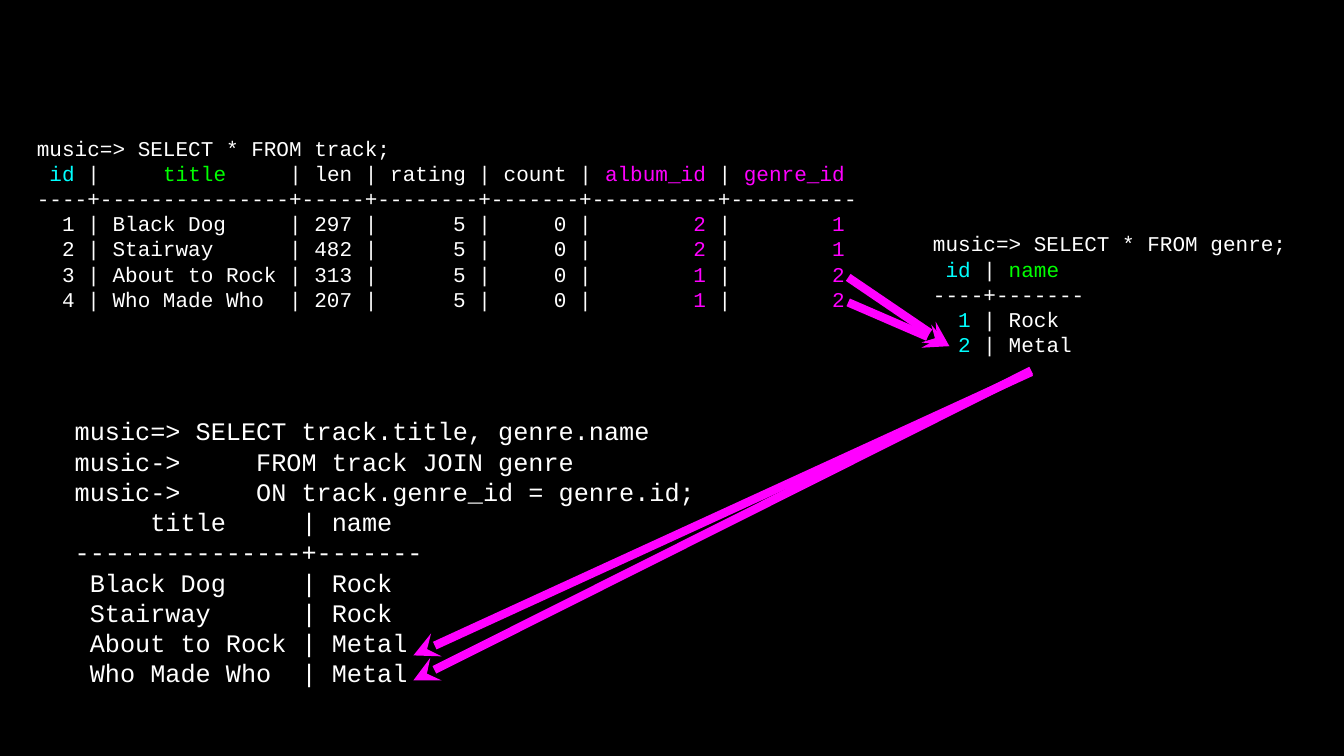
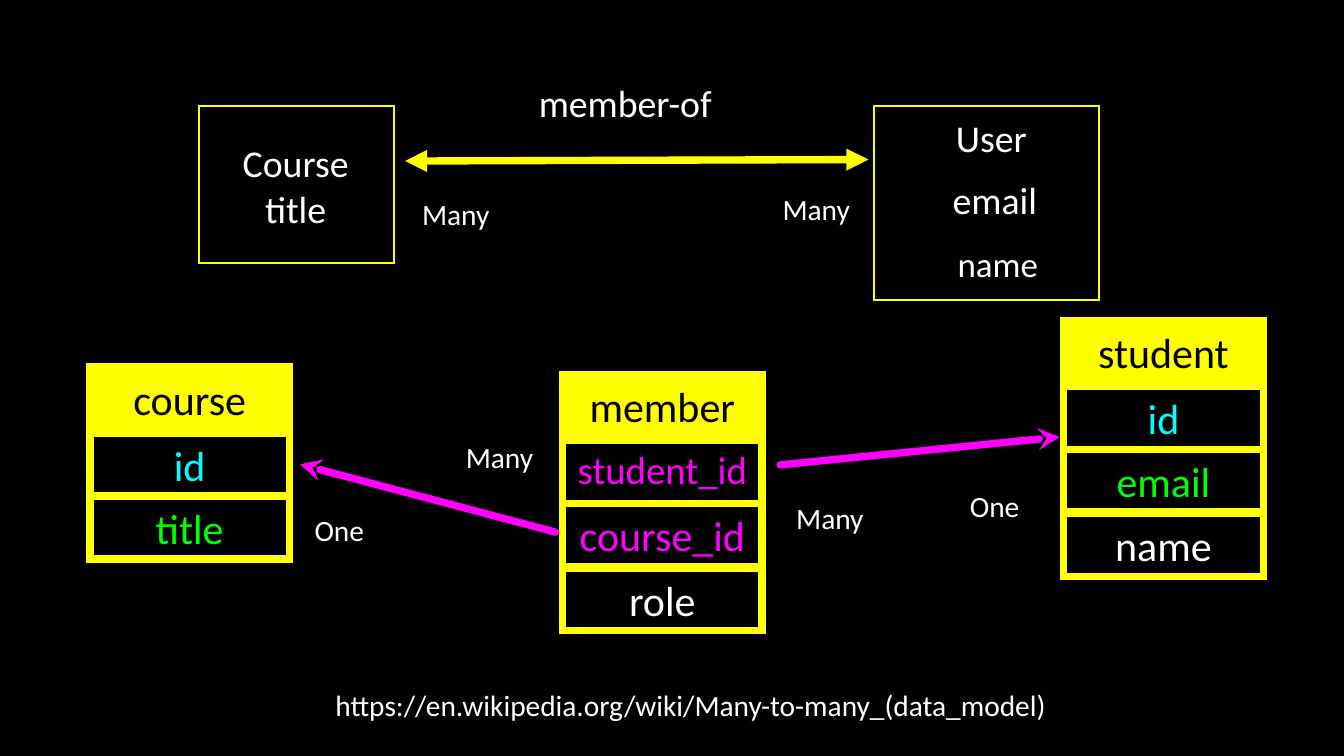
import pptx
import pptx.dml.color
import pptx.enum.shapes
import pptx.enum.text
import pptx.oxml.ns
import pptx.util
from lxml import etree

Cm = pptx.util.Cm
COLORS = {
    "back": "000000", "text": "FFFFFF", "frame": "FFFF00",
    "primary": "00FFFF", "logical": "00FF00", "foreign": "FF00FF",
}
CODE_FONT, LABEL_FONT = "Courier New", "Calibri"
WIDE_MARGINS = (0.46, 0.23)
NO_MARGINS = (0, 0)
CENTER = pptx.enum.text.PP_ALIGN.CENTER


def color(name):
    return pptx.dml.color.RGBColor.from_string(COLORS[name])


def add_page(deck):
    page = deck.slides.add_slide(deck.slide_layouts[6])
    page.background.fill.solid()
    page.background.fill.fore_color.rgb = color("back")
    return page


def fill_text(frame, lines, font, size, align=None, margins=NO_MARGINS, spacing=None):
    """Each line is a list of (text, color name) spans."""
    frame.margin_left = frame.margin_right = Cm(margins[0])
    frame.margin_top = frame.margin_bottom = Cm(margins[1])
    for number, line in enumerate(lines):
        para = frame.paragraphs[0] if number == 0 else frame.add_paragraph()
        para.alignment = align
        if spacing:
            para.line_spacing = spacing
        for text, tint in line:
            span = para.add_run()
            span.text = text
            span.font.name = font
            span.font.size = pptx.util.Pt(size)
            span.font.color.rgb = color(tint)


def add_text(page, place, lines, font, size, middle=False, wrap=True, **style):
    box = page.shapes.add_textbox(*map(Cm, place))
    frame = box.text_frame
    frame.word_wrap = wrap
    if middle:
        frame.vertical_anchor = pptx.enum.text.MSO_ANCHOR.MIDDLE
    else:
        frame.auto_size = pptx.enum.text.MSO_AUTO_SIZE.SHAPE_TO_FIT_TEXT
    fill_text(frame, lines, font, size, **style)


def add_code(page, place, lines, size, margins=WIDE_MARGINS):
    add_text(page, place, lines, CODE_FONT, size, margins=margins)


def add_label(page, place, words, size=36, spacing=None):
    add_text(page, place, [[(word, "text")] for word in words], LABEL_FONT, size,
             middle=True, align=CENTER, spacing=spacing)


def add_note(page, place, words, wrap=False):
    add_text(page, place, [[(words, "text")]], LABEL_FONT, 28,
             wrap=wrap, align=CENTER, margins=WIDE_MARGINS)


def add_line_part(line, tag, **values):
    etree.SubElement(line, pptx.oxml.ns.qn("a:" + tag), **values)


def add_arrow(page, tip, end, tint, width, head="stealth", tail=None, round_cap=False):
    arrow = page.shapes.add_connector(
        pptx.enum.shapes.MSO_CONNECTOR.STRAIGHT, *map(Cm, tip + end))
    arrow.line.color.rgb = color(tint)
    arrow.line.width = pptx.util.Pt(width)
    properties = arrow._element.spPr
    line = properties.find(pptx.oxml.ns.qn("a:ln"))
    if round_cap:
        line.set("cap", "rnd")
    add_line_part(line, "headEnd", type=head)
    if tail:
        add_line_part(line, "tailEnd", type=tail)
    add_line_part(properties, "effectLst")


def add_frame(page, place, width, filled=False):
    box = page.shapes.add_shape(
        pptx.enum.shapes.MSO_SHAPE.RECTANGLE, *map(Cm, place))
    box.shadow.inherit = False
    if filled:
        box.fill.solid()
        box.fill.fore_color.rgb = color("frame")
    else:
        box.fill.background()
    box.line.color.rgb = color("frame")
    box.line.width = pptx.util.Pt(width)
    line = box._element.spPr.find(pptx.oxml.ns.qn("a:ln"))
    add_line_part(line, "miter", lim="800000")
    return box


# Query results
TRACKS = [(1, "Black Dog", 297, 2, 1), (2, "Stairway", 482, 2, 1),
          (3, "About to Rock", 313, 1, 2), (4, "Who Made Who", 207, 1, 2)]
GENRES = {1: "Rock", 2: "Metal"}


def add_track_query(page, place):
    lines = [
        [("music=> SELECT * FROM track;", "text")],
        [(" ", "text"), ("id", "primary"), (" |     ", "text"), ("title", "logical"),
         ("     | len | rating | count | ", "text"), ("album_id ", "foreign"),
         ("| ", "text"), ("genre_id", "foreign")],
        [("----+---------------+-----+--------+-------+----------+----------", "text")],
    ]
    for number, title, length, album, genre in TRACKS:
        lines.append([
            (f"{number:>3} | {title:<13} | {length} | {5:>6} | {0:>5} | ", "text"),
            (f"{album:>8} ", "foreign"), ("|", "text"), (f"{genre:>9}", "foreign")])
    add_code(page, place, lines, 20, margins=(0.25, 0.13))


def add_genre_query(page, place):
    lines = [
        [("music=> SELECT * FROM genre;", "text")],
        [(" ", "text"), ("id ", "primary"), ("| ", "text"), ("name", "logical")],
        [("----+-------", "text")],
    ]
    for number, name in GENRES.items():
        lines.append([(f"{number:>3}", "primary"), (f" | {name}", "text")])
    add_code(page, place, lines, 20)


def add_join_query(page, place):
    rows = [
        "music=> SELECT track.title, genre.name",
        "music->     FROM track JOIN genre",
        "music->     ON track.genre_id = genre.id;",
        "     title     | name",
        "---------------+-------",
    ]
    rows += [f" {title:<13} | {GENRES[genre]}" for _, title, _, _, genre in TRACKS]
    add_code(page, place, [[(row, "text")] for row in rows], 24)


def build_join_page(deck):
    page = add_page(deck)
    add_track_query(page, (0.99, 4.41, 31.8, 6.2))
    add_genre_query(page, (30.89, 7.53, 13.2, 4.7))
    # Foreign keys to the genre row, then on to the joined rows
    for tip, end in [((31.9, 11.63), (28.5, 9.32)), ((31.9, 11.63), (28.5, 10.16)),
                     ((13.89, 22.02), (34.65, 12.5)), ((13.89, 22.86), (34.65, 12.45))]:
        add_arrow(page, tip, end, "foreign", 8)
    add_join_query(page, (2.05, 13.74, 42.47, 9.6))


# Many-to-many model
ROW_WIDTH, ROW_HEIGHT = 6.71, 2.11
ROW_OFFSETS = (0, 2.23, 4.34, 6.5)


def add_entity_table(page, left, top, name, columns):
    rows = [(name, "back", 40)] + columns
    for offset, (word, tint, size) in zip(ROW_OFFSETS, rows):
        box = add_frame(page, (left, top + offset, ROW_WIDTH, ROW_HEIGHT), 7,
                        filled=offset == 0)
        box.text_frame.vertical_anchor = pptx.enum.text.MSO_ANCHOR.MIDDLE
        fill_text(box.text_frame, [[(word, tint)]], LABEL_FONT, size, align=CENTER,
                  spacing=0.9 if size < 40 else None)


def add_course_entity(page, left, top):
    add_frame(page, (left, top, 6.53, 5.28), 2)
    add_label(page, (left + 1.04, top + 1.09, 4.39, 3.15), ["Course", "title"])


def add_user_entity(page, left, top):
    add_frame(page, (left, top, 7.54, 6.53), 2)
    add_label(page, (left + 2.01, top + 0.2, 3.84, 1.73), ["User"])
    add_label(page, (left + 2.36, top + 2.29, 3.38, 1.73), ["email"])
    add_label(page, (left + 2.46, top + 4.52, 3.38, 1.73), ["name"], 33.3, 0.9)


def build_model_page(deck):
    page = add_page(deck)
    # Conceptual model
    add_user_entity(page, 29.38, 3.56)
    add_course_entity(page, 6.7, 3.56)
    add_arrow(page, (13.61, 5.41), (29.18, 5.36), "frame", 7, "triangle", "triangle")
    add_label(page, (17.48, 2.57, 7.06, 1.73), ["member-of"])

    # Tables and their keys
    add_entity_table(page, 18.9, 12.58, "member", [
        ("student_id", "foreign", 37), ("course_id", "foreign", 40), ("role", "text", 40)])
    add_entity_table(page, 35.74, 10.76, "student", [
        ("id", "primary", 40), ("email", "logical", 40), ("name", "text", 40)])
    add_entity_table(page, 3.02, 12.33, "course", [
        ("id", "primary", 40), ("title", "logical", 40)])
    add_arrow(page, (10.08, 15.6), (18.67, 17.88), "foreign", 7, round_cap=True)
    add_arrow(page, (35.61, 14.68), (26.21, 15.62), "foreign", 7, round_cap=True)

    # Cardinalities
    widths = {"Many": 3.45, "One": 2.84}
    for word, left, top in [("Many", 13.59, 6.35), ("Many", 25.7, 6.2),
                            ("One", 9.98, 16.99), ("Many", 15.06, 14.53),
                            ("Many", 26.16, 16.56), ("One", 32, 16.18)]:
        add_note(page, (left, top, widths[word], 1.65), word)

    # Reference
    add_note(page, (9.32, 22.86, 27.76, 1.65),
             "https://en.wikipedia.org/wiki/Many-to-many_(data_model)", wrap=True)


def main():
    deck = pptx.Presentation()
    deck.slide_width, deck.slide_height = Cm(45.16), Cm(25.4)
    build_join_page(deck)
    build_model_page(deck)
    deck.save("out.pptx")


if __name__ == "__main__":
    main()
